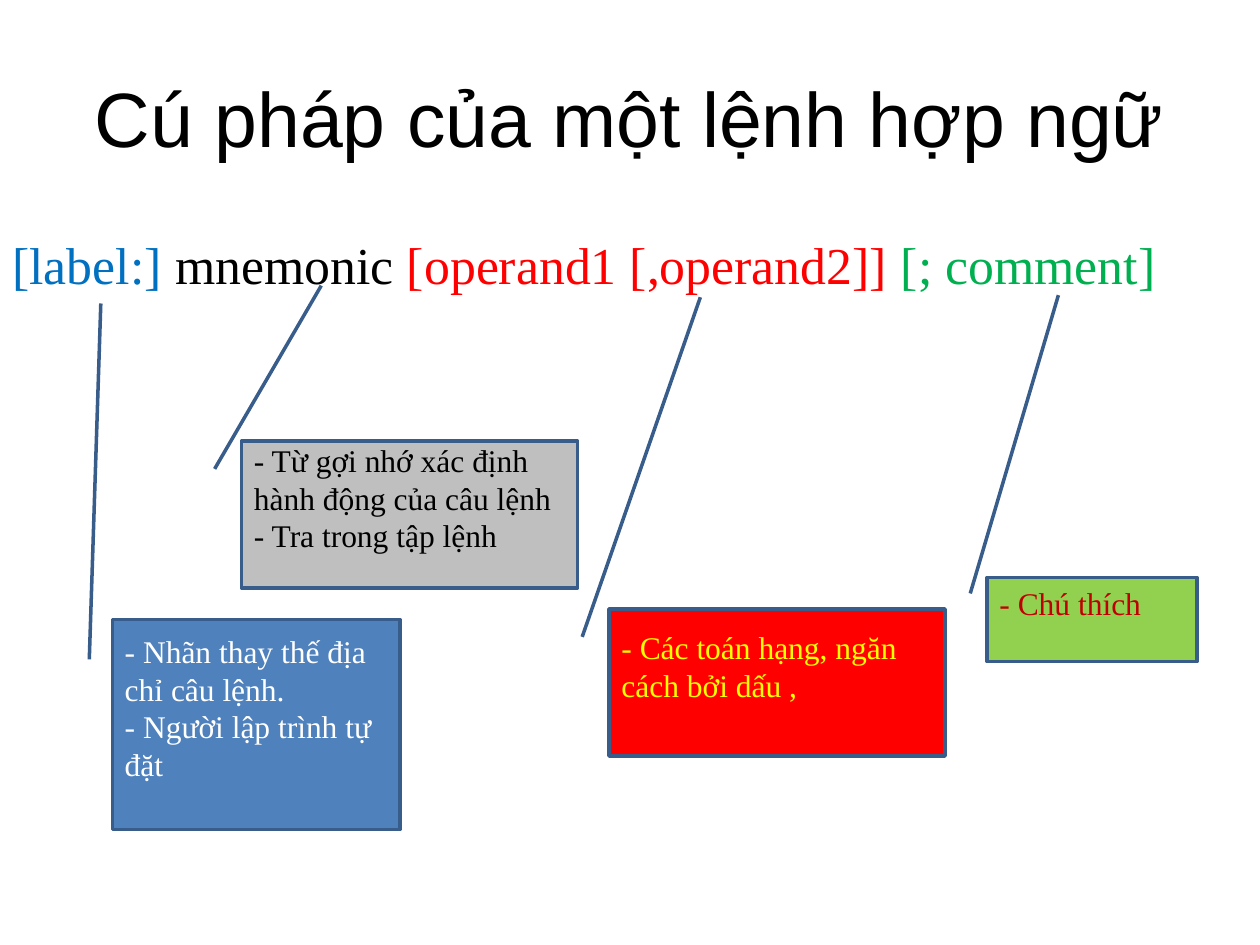
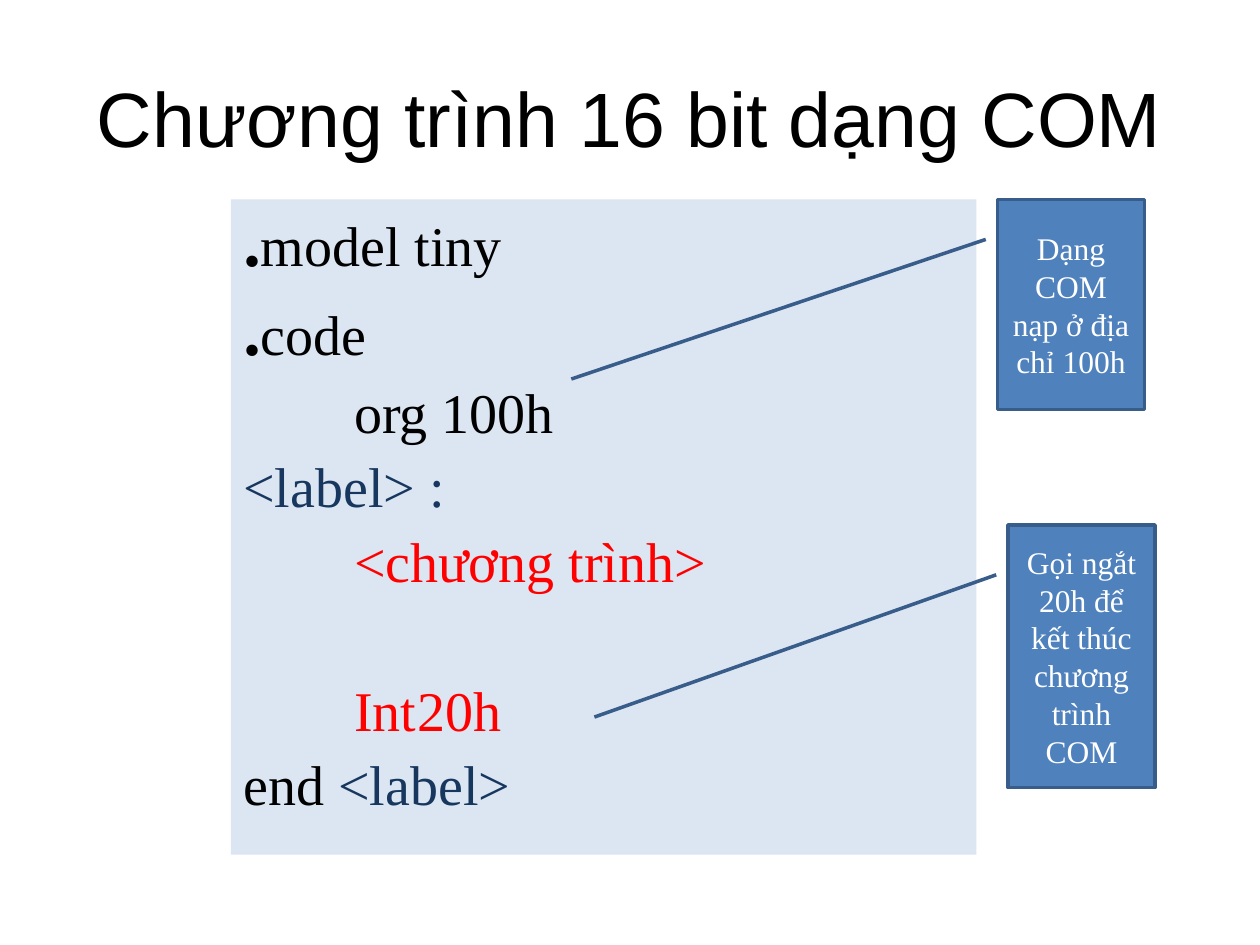
from lxml.etree import SubElement
from pptx import Presentation
from pptx.dml.color import RGBColor
from pptx.enum.shapes import MSO_SHAPE as Preset
from pptx.enum.text import MSO_ANCHOR as Anchor, PP_ALIGN as Align
from pptx.oxml.ns import qn
from pptx.util import Inches, Pt

SERIF, SANS = "Times New Roman", "Arial"
BLACK, WHITE, RED, NAVY = "000000", "FFFFFF", "FF0000", "17375E"
BLUE, BORDER, PANEL = "4F81BD", "385D8A", "DCE6F2"
COLUMNS, ROWS = 120, 90
CELL = Inches(10) / COLUMNS
HANGING = Inches(0.38)


def color(hex_value):
    return RGBColor.from_string(hex_value)


def cells(*counts):
    return [round(count * CELL) for count in counts]


def set_insets(frame, left=0.1, top=0.05, right=0.1, bottom=0.05):
    frame.margin_left, frame.margin_top = Inches(left), Inches(top)
    frame.margin_right, frame.margin_bottom = Inches(right), Inches(bottom)


def write(paragraph, text, size=18, font=SERIF, ink=BLACK, bold=False):
    run = paragraph.add_run()
    run.text = text
    run.font.size, run.font.name, run.font.bold = Pt(size), font, bold
    run.font.color.rgb = color(ink)


def next_paragraph(frame, index):
    return frame.add_paragraph() if index else frame.paragraphs[0]


def add_text_area(slide, area, anchor=Anchor.TOP, **insets):
    frame = slide.shapes.add_textbox(*cells(*area)).text_frame
    frame.word_wrap, frame.vertical_anchor = True, anchor
    set_insets(frame, **insets)
    return frame


def add_titled_slide(deck, title):
    slide = deck.slides.add_slide(deck.slide_layouts[6])
    frame = add_text_area(slide, (6, 3.6, 108, 15), Anchor.MIDDLE)
    heading = frame.paragraphs[0]
    heading.alignment = Align.CENTER
    write(heading, title, size=44, font=SANS)
    return slide


def add_block(slide, preset, area, fill):
    block = slide.shapes.add_shape(preset, *cells(*area))
    block.shadow.inherit = False
    block.fill.solid()
    block.fill.fore_color.rgb = color(fill)
    return block


def add_callout(slide, area, target, lines, fill=BLUE, ink=WHITE,
                align=Align.LEFT, **insets):
    left, top, width, height = area
    target_x, target_y = target
    callout = add_block(slide, Preset.LINE_CALLOUT_1, area, fill)
    callout.line.color.rgb = color(BORDER)
    callout.line.width = Pt(2)
    leader = (0.19, -0.08, (target_y - top) / height, (target_x - left) / width)
    for index, share in enumerate(leader):
        callout.adjustments[index] = share
    frame = callout.text_frame
    frame.word_wrap, frame.vertical_anchor = True, Anchor.MIDDLE
    set_insets(frame, **insets)
    for index, line in enumerate(lines):
        paragraph = next_paragraph(frame, index)
        paragraph.alignment = align
        write(paragraph, line, ink=ink)


def set_code_tabs(paragraph):
    properties = paragraph._p.get_or_add_pPr()
    properties.set("marL", str(HANGING))
    properties.set("indent", str(-HANGING))
    stops = SubElement(properties, qn("a:tabLst"))
    for inch in range(8):
        SubElement(stops, qn("a:tab"), pos=str(Inches(inch)), algn="l")


def add_code_panel(slide, area, lines):
    panel = add_block(slide, Preset.RECTANGLE, area, PANEL)
    panel.line.fill.background()
    frame = panel.text_frame
    frame.word_wrap, frame.vertical_anchor = True, Anchor.TOP
    set_insets(frame)
    for index, (space_before, parts) in enumerate(lines):
        paragraph = next_paragraph(frame, index)
        set_code_tabs(paragraph)
        paragraph.alignment = Align.LEFT
        paragraph.line_spacing = 0.9
        paragraph.space_before = Pt(space_before)
        for text, style in parts:
            write(paragraph, text, **{"size": 32, **style})


def build_syntax_slide(deck):
    slide = add_titled_slide(deck, "Cú pháp của một lệnh hợp ngữ")
    syntax = add_text_area(slide, (0, 21, COLUMNS, 13), top=0.1).paragraphs[0]
    for part, ink in (("[label:] ", "0070C0"), ("mnemonic ", BLACK),
                      ("[operand1 [,operand2]] ", RED), ("[; comment]", "00B050")):
        write(syntax, part, size=29.6, ink=ink)
    explanations = (
        ((10.7, 59, 27.4, 20), (9.6, 28.9), BLUE, WHITE,
         ["- Nhãn thay thế địa chỉ câu lệnh.", "- Người lập trình tự đặt"]),
        ((23, 42, 32, 14), (30.6, 27.2), "BFBFBF", BLACK,
         ["- Từ gợi nhớ xác định hành động của câu lệnh", "- Tra trong tập lệnh"]),
        ((58, 58, 32, 14), (66.7, 28.3), RED, "FFFF00",
         ["- Các toán hạng, ngăn cách bởi dấu ,"]),
        ((94, 55, 20, 8), (100.8, 28.1), "92D050", "C00000", ["- Chú thích"]),
    )
    for area, target, fill, ink, lines in explanations:
        add_callout(slide, area, target, lines, fill, ink, top=0, bottom=0.27)


def build_program_slide(deck):
    slide = add_titled_slide(deck, "Chương trình 16 bit dạng COM")
    dot = (".", {"size": 40, "bold": True})
    label, body = {"ink": NAVY}, {"ink": RED}
    add_code_panel(slide, (22, 19, 71, 62.4), (
        (0, [dot, ("model tiny", {})]),
        (8, [dot, ("code", {})]),
        (8, [("\t\torg 100h", {})]),
        (8, [("<label> :", label)]),
        (8, [("\t\t<chương trình>", body)]),
        (50.6, [("\t\tInt\t20h", body)]),
        (8, [("end ", {}), ("<label>", label)]),
    ))
    add_callout(slide, (95, 19, 14, 20), (54.4, 36.1),
                ["Dạng COM nạp ở địa chỉ 100h"], align=Align.CENTER)
    add_callout(slide, (96, 50, 14, 25), (56.6, 68.3),
                ["Gọi ngắt 20h để kết thúc chương trình COM"], align=Align.CENTER)


def main():
    deck = Presentation()
    deck.slide_width, deck.slide_height = cells(COLUMNS, ROWS)
    build_syntax_slide(deck)
    build_program_slide(deck)
    deck.save("out.pptx")


if __name__ == "__main__":
    main()
